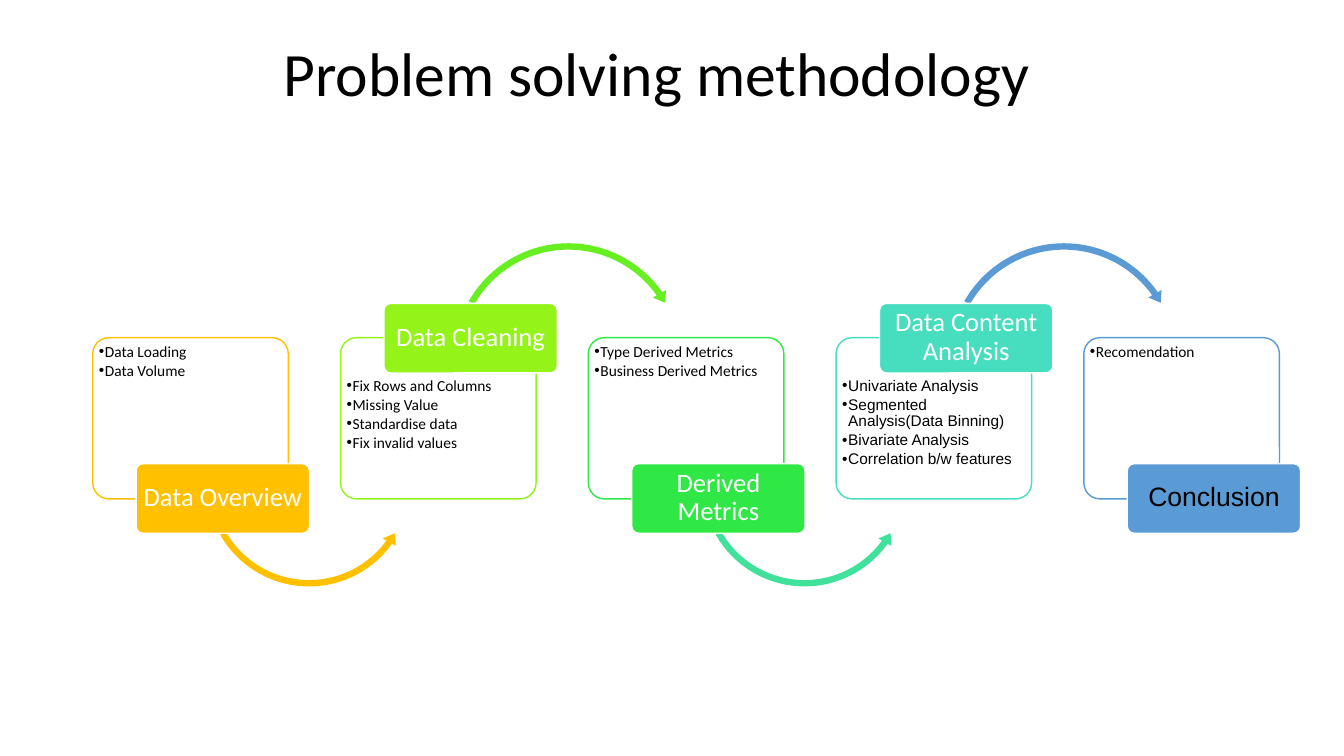
import pptx
import pptx.util
import pptx.dml.color
import pptx.enum.shapes
import pptx.enum.text
import pptx.oxml
import pptx.oxml.ns

Inches = pptx.util.Inches
Pt = pptx.util.Pt
SHAPE = pptx.enum.shapes.MSO_SHAPE
ALIGN = pptx.enum.text.PP_ALIGN
ANCHOR = pptx.enum.text.MSO_ANCHOR

# Name, points, colour, colour of the arrow to the next step,
# font and colour of the name, font of the points
STEPS = [
    ("Data Overview", ["Data Loading", "Data Volume"],
     "FFC000", "FFC000", "Calibri", "FFFFFF", "Calibri"),
    ("Data Cleaning", ["Fix Rows and Columns", "Missing Value",
                       "Standardise data", "Fix invalid values"],
     "94F319", "67EF21", "Calibri", "FFFFFF", "Calibri"),
    ("Derived Metrics", ["Type Derived Metrics", "Business Derived Metrics"],
     "30E845", "3FE19B", "Calibri", "FFFFFF", "Calibri"),
    ("Data Content Analysis", ["Univariate Analysis",
                               "Segmented Analysis(Data Binning)",
                               "Bivariate Analysis",
                               "Correlation b/w features"],
     "46DEBF", "5B9BD5", "Calibri", "FFFFFF", "Arial"),
    ("Conclusion", ["Recomendation"],
     "5B9BD5", None, "Arial", "000000", "Calibri"),
]
FIRST_LEFT, LAST_LEFT = 0.92, 10.75
STEP_PITCH = (LAST_LEFT - FIRST_LEFT) / (len(STEPS) - 1)
CARD_WIDTH, CARD_HEIGHT = 1.94, 1.6


def rgb(hex_colour):
    return pptx.dml.color.RGBColor.from_string(hex_colour)


def add_bullet(paragraph):
    paragraph.level = 1
    properties = paragraph._p.get_or_add_pPr()
    properties.set("marL", str(Inches(0.06)))
    properties.set("indent", str(-Inches(0.06)))
    namespace = pptx.oxml.ns.nsdecls("a")
    for markup in ('<a:buFont %s typeface="Arial"/>', '<a:buChar %s char="•"/>'):
        properties.append(pptx.oxml.parse_xml(markup % namespace))


def write_text(shape, lines, size, font="Calibri", colour="000000",
               align=ALIGN.LEFT, anchor=ANCHOR.MIDDLE,
               margins=(0.1, 0.05, 0.1, 0.05), bullets=False, after=0):
    frame = shape.text_frame
    frame.word_wrap = True
    frame.vertical_anchor = anchor
    (frame.margin_left, frame.margin_top,
     frame.margin_right, frame.margin_bottom) = map(Inches, margins)
    for index, line in enumerate(lines):
        paragraph = frame.add_paragraph() if index else frame.paragraphs[0]
        paragraph.alignment = align
        paragraph.line_spacing = 0.9
        paragraph.space_after = Pt(after)
        if bullets:
            add_bullet(paragraph)
        run = paragraph.add_run()
        run.text = line
        run.font.size = Pt(size)
        run.font.name = font
        run.font.color.rgb = rgb(colour)


def add_figure(slide, kind, box, fill, line=None, adjustments=()):
    figure = slide.shapes.add_shape(kind, *map(Inches, box))
    figure.shadow.inherit = False
    figure.fill.solid()
    figure.fill.fore_color.rgb = rgb(fill)
    if line:
        figure.line.color.rgb = rgb(line)
        figure.line.width = Pt(1)
    else:
        figure.line.fill.background()
    for index, value in enumerate(adjustments):
        figure.adjustments[index] = value
    return figure


def add_text(slide, box, lines, size, **text_format):
    text = slide.shapes.add_textbox(*map(Inches, box))
    write_text(text, lines, size, **text_format)


def add_title(slide, left, top, width, height):
    add_text(slide, (left, top, width, height),
             ["Problem solving methodology"], 44,
             margins=(1.89, 0.05, 0.1, 0.05))


def add_arrow(slide, left, top, raised, colour):
    """Arc to the next step, over a raised name or under a low one."""
    if raised:
        add_figure(slide, SHAPE.CIRCULAR_ARROW,
                   (left + 1.08, top - 0.98, 2.36, 2.36), colour,
                   adjustments=(0.027, 3.308, 194.937, 125.755, 0.032))
    else:
        add_figure(slide, SHAPE.LEFT_CIRCULAR_ARROW,
                   (left + 1.09, top + 0.4, 2.11, 2.11), colour,
                   adjustments=(0.03, 3.724, 21.479, 90.245, 0.035))


def add_step(slide, left, top, raised, step):
    name, points, colour, arrow_colour, name_font, name_colour, point_font = step
    # Card with points
    add_figure(slide, SHAPE.ROUNDED_RECTANGLE,
               (left, top, CARD_WIDTH, CARD_HEIGHT), "FFFFFF", colour, (0.1,))
    points_top = top + (0.38 if raised else 0.04)
    add_text(slide, (left + 0.04, points_top, 1.86, 1.18), points, 11,
             font=point_font, anchor=ANCHOR.TOP,
             margins=(0.02, 0.02, 0.02, 0.02), bullets=True, after=1.65)
    # Arrow behind the name
    if arrow_colour:
        add_arrow(slide, left, top, raised, arrow_colour)
    # Name on the card's upper or lower edge
    label_top = top - 0.34 if raised else top + 1.25
    add_figure(slide, SHAPE.ROUNDED_RECTANGLE,
               (left + 0.43, label_top, 1.72, 0.69), colour, "FFFFFF", (0.1,))
    add_text(slide, (left + 0.45, label_top + 0.02, 1.68, 0.64), [name], 19,
             font=name_font, colour=name_colour, align=ALIGN.CENTER,
             margins=(0.04, 0.03, 0.04, 0.03))


def add_process(slide, left, top):
    for index, step in enumerate(STEPS):
        add_step(slide, left + index * STEP_PITCH, top, index % 2 == 1, step)


def main():
    deck = pptx.Presentation()
    deck.slide_width = Inches(13.33)
    deck.slide_height = Inches(7.5)
    slide = deck.slides.add_slide(deck.slide_layouts[6])
    add_title(slide, 0.92, 0.15, 11.5, 1.22)
    add_process(slide, FIRST_LEFT, 3.35)
    deck.save("out.pptx")


if __name__ == "__main__":
    main()
